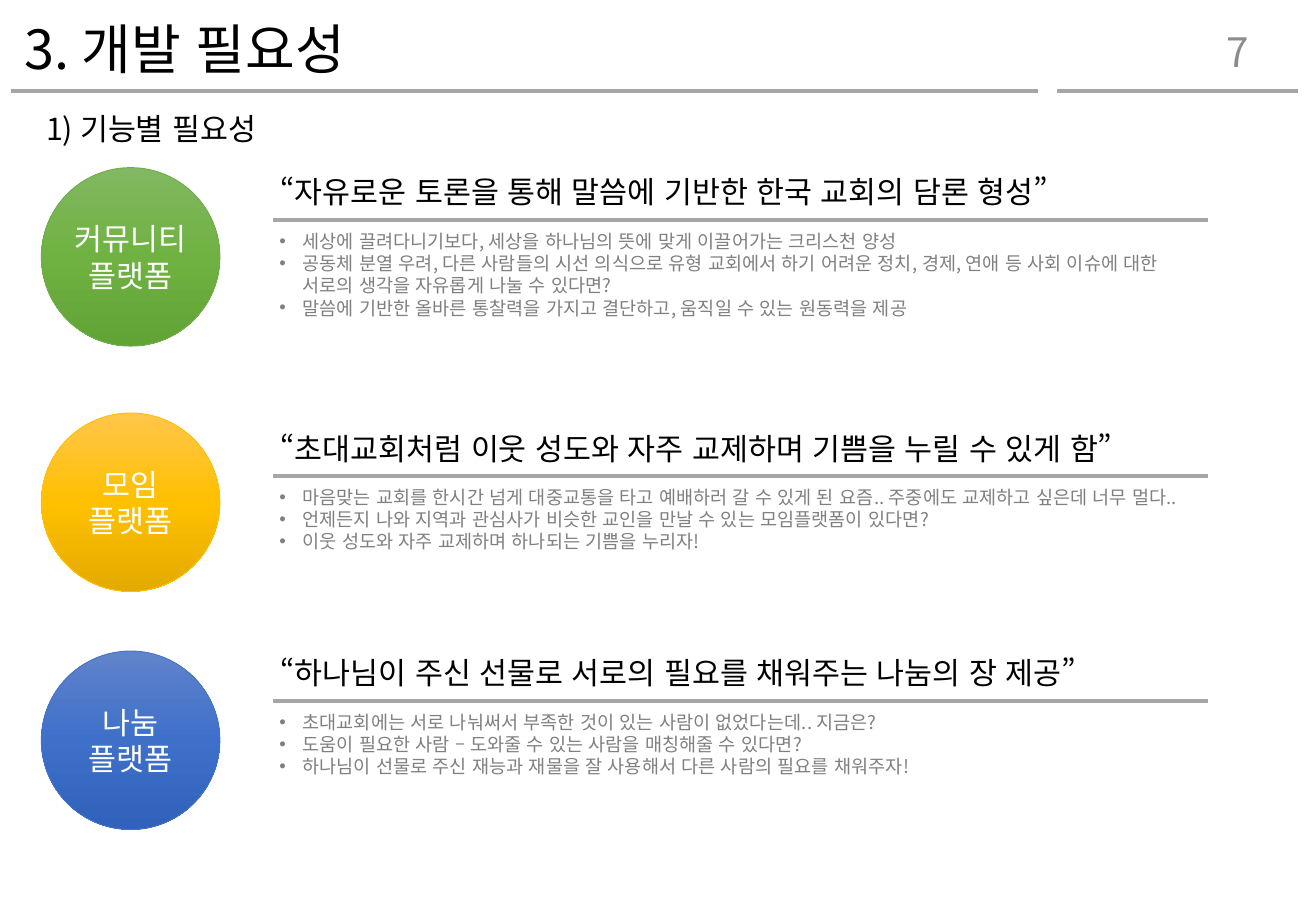
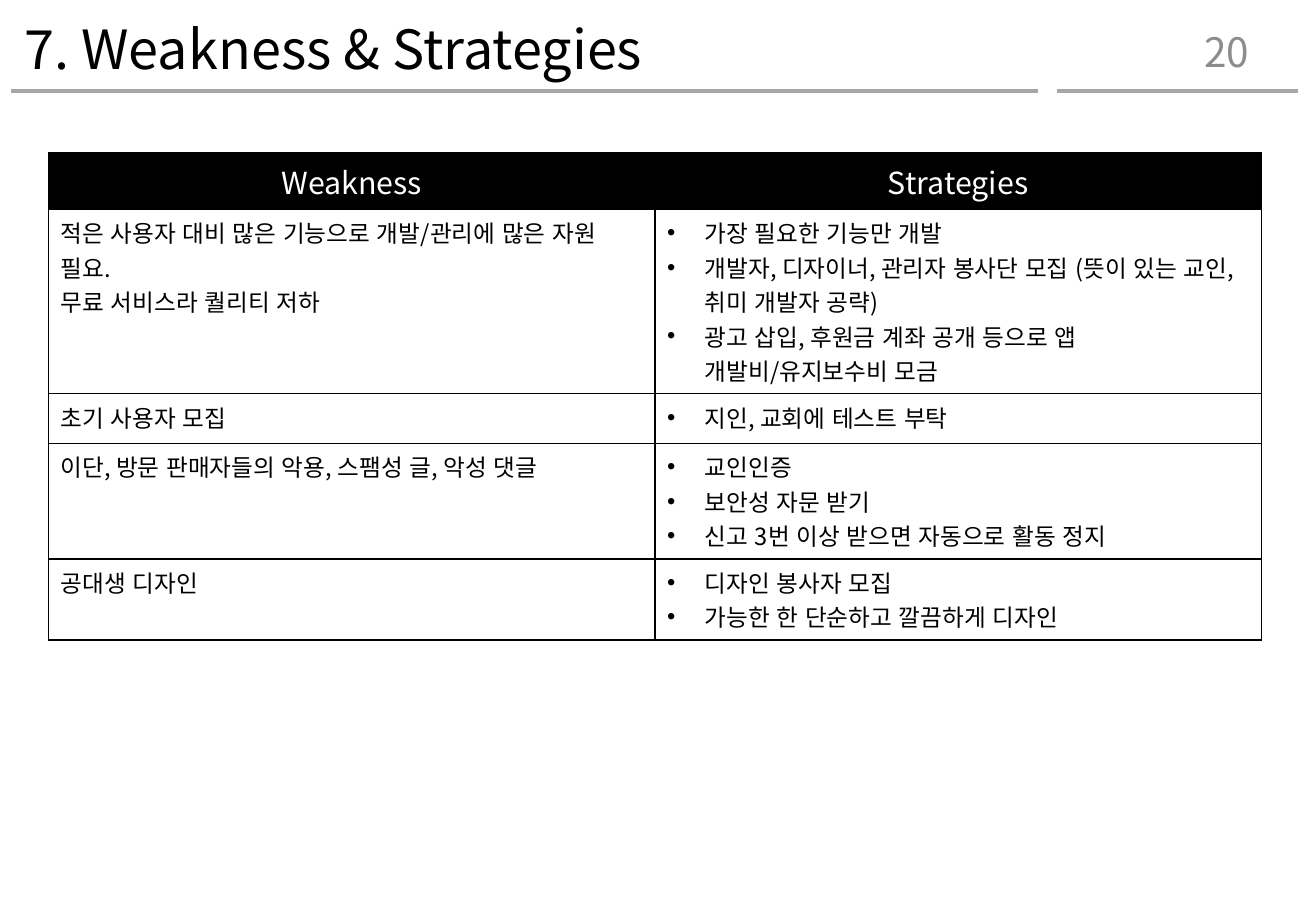
from copy import deepcopy

from lxml.etree import SubElement
from pptx import Presentation
from pptx.dml.color import RGBColor
from pptx.enum.lang import MSO_LANGUAGE_ID
from pptx.enum.shapes import MSO_CONNECTOR, MSO_SHAPE
from pptx.enum.text import MSO_ANCHOR, MSO_AUTO_SIZE, PP_ALIGN
from pptx.oxml.ns import qn
from pptx.util import Pt

EMU_PER_PX = 9144
FONT = "Noto Sans CJK KR"
COLORS = {
    "black": "000000",
    "white": "FFFFFF",
    "rule": "A6A6A6",
    "page": "8C8C8C",
    "detail": "808080",
}
GREEN = ("81B861", "6FB242", "62A336", "70AD47")
YELLOW = ("FFC64B", "FFC000", "E3AB00", "FFC000")
BLUE = ("6183CB", "3E70CA", "3062BB", "4472C4")

SECTIONS = [
    (138, 138, GREEN, "커뮤니티 플랫폼",
     "“자유로운 토론을 통해 말씀에 기반한 한국 교회의 담론 형성”",
     ["세상에 끌려다니기보다, 세상을 하나님의 뜻에 맞게 이끌어가는 크리스천 양성",
      "공동체 분열 우려, 다른 사람들의 시선 의식으로 유형 교회에서 하기 어려운 정치, 경제, 연애 등 "
      "사회 이슈에 대한 서로의 생각을 자유롭게 나눌 수 있다면?",
      "말씀에 기반한 올바른 통찰력을 가지고 결단하고, 움직일 수 있는 원동력을 제공"]),
    (340, 349, YELLOW, "모임 플랫폼",
     "“초대교회처럼 이웃 성도와 자주 교제하며 기쁨을 누릴 수 있게 함”",
     ["마음맞는 교회를 한시간 넘게 대중교통을 타고 예배하러 갈 수 있게 된 요즘.. "
      "주중에도 교제하고 싶은데 너무 멀다..",
      "언제든지 나와 지역과 관심사가 비슷한 교인을 만날 수 있는 모임플랫폼이 있다면?",
      "이웃 성도와 자주 교제하며 하나되는 기쁨을 누리자!"]),
    (536, 534, BLUE, "나눔 플랫폼",
     "“하나님이 주신 선물로 서로의 필요를 채워주는 나눔의 장 제공”",
     ["초대교회에는 서로 나눠써서 부족한 것이 있는 사람이 없었다는데.. 지금은?",
      "도움이 필요한 사람 – 도와줄 수 있는 사람을 매칭해줄 수 있다면?",
      "하나님이 선물로 주신 재능과 재물을 잘 사용해서 다른 사람의 필요를 채워주자!"]),
]

HEADERS = ["Weakness", "Strategies"]
TABLE_ROWS = [
    (["적은 사용자 대비 많은 기능으로 개발/관리에 많은 자원 필요.",
      "무료 서비스라 퀄리티 저하"],
     ["가장 필요한 기능만 개발",
      "개발자, 디자이너, 관리자 봉사단 모집 (뜻이 있는 교인, 취미 개발자 공략)",
      "광고 삽입, 후원금 계좌 공개 등으로 앱 개발비/유지보수비 모금"]),
    (["초기 사용자 모집"], ["지인, 교회에 테스트 부탁"]),
    (["이단, 방문 판매자들의 악용, 스팸성 글, 악성 댓글"],
     ["교인인증", "보안성 자문 받기", "신고 3번 이상 받으면 자동으로 활동 정지"]),
    (["공대생 디자인"],
     ["디자인 봉사자 모집", "가능한 한 단순하고 깔끔하게 디자인"]),
]


def px(value):
    return value * EMU_PER_PX


def rgb(value):
    return RGBColor.from_string(value)


def add_bullet(paragraph, indent):
    properties = paragraph._p.get_or_add_pPr()
    properties.set("marL", str(px(indent)))
    properties.set("indent", str(-px(indent)))
    SubElement(properties, qn("a:buFont"), typeface="Arial")
    SubElement(properties, qn("a:buChar"), char="•")


def write(text_frame, lines, size, color, align=PP_ALIGN.LEFT, spacing=1.0, indent=0):
    text_frame.text = "\n".join(lines)
    for paragraph in text_frame.paragraphs:
        if indent:
            add_bullet(paragraph, indent)
        paragraph.alignment = align
        paragraph.space_before = Pt(0)
        paragraph.line_spacing = spacing
        for run in paragraph.runs:
            run.font.size = Pt(size)
            run.font.bold = False
            run.font.name = FONT
            run.font.language_id = MSO_LANGUAGE_ID.KOREAN
            run.font.color.rgb = rgb(COLORS[color])
            SubElement(run._r.get_or_add_rPr(), qn("a:ea"), typeface=FONT)


def set_frame(shape, anchor):
    text_frame = shape.text_frame
    text_frame.word_wrap = True
    text_frame.auto_size = MSO_AUTO_SIZE.NONE
    text_frame.vertical_anchor = anchor
    return text_frame


def place(shape, left, top, width, height, anchor=MSO_ANCHOR.TOP):
    shape.left, shape.top = px(left), px(top)
    shape.width, shape.height = px(width), px(height)
    return set_frame(shape, anchor)


def add_text(slide, left, top, width, height, anchor=MSO_ANCHOR.TOP):
    shape = slide.shapes.add_textbox(px(left), px(top), px(width), px(height))
    return set_frame(shape, anchor)


def add_rule(slide, left, right, y):
    rule = slide.shapes.add_connector(
        MSO_CONNECTOR.STRAIGHT, px(left), px(y), px(right), px(y))
    rule.line.color.rgb = rgb(COLORS["rule"])
    rule.line.width = Pt(2.25)
    SubElement(rule._element.spPr, qn("a:effectLst"))


def add_circle(slide, top, palette, label):
    circle = slide.shapes.add_shape(
        MSO_SHAPE.OVAL, px(34), px(top), px(147), px(147))
    circle.shadow.inherit = False
    circle.fill.gradient()
    circle.fill.gradient_angle = 270
    stop_list = circle._element.spPr.find(qn("a:gradFill")).find(qn("a:gsLst"))
    stop_list.append(deepcopy(stop_list[0]))
    *stop_colors, outline = palette
    for index, (stop, color) in enumerate(zip(circle.fill.gradient_stops, stop_colors)):
        stop.position = index / 2
        stop.color.rgb = rgb(color)
    circle.line.color.rgb = rgb(outline)
    circle.line.width = Pt(0.5)
    text_frame = set_frame(circle, MSO_ANCHOR.MIDDLE)
    text_frame.margin_left = text_frame.margin_right = 0
    text_frame.margin_top = text_frame.margin_bottom = 0
    write(text_frame, [label], 18, "white", PP_ALIGN.CENTER)


def add_slide(presentation, layout_name, title, page):
    layout = presentation.slide_layouts.get_by_name(layout_name)
    slide = presentation.slides.add_slide(layout)
    title_frame = place(slide.shapes.title, 10, 9, 921, 67, MSO_ANCHOR.MIDDLE)
    write(title_frame, [title], 32, "black", spacing=0.9)
    add_rule(slide, 9, 854, 75)
    add_rule(slide, 870, 1068, 75)
    page_frame = add_text(slide, 802, 22, 236, 40, MSO_ANCHOR.MIDDLE)
    write(page_frame, [page], 24, "page", PP_ALIGN.RIGHT)
    return slide


def add_section(slide, placeholder, circle_top, top, palette, label, heading, details):
    add_circle(slide, circle_top, palette, label)
    write(add_text(slide, 221, top, 777, 40), [heading], 18, "black")
    add_rule(slide, 225, 994, top + 43)
    list_frame = place(placeholder, 220, top + 46, 766, 84)
    write(list_frame, details, 11, "detail", indent=19)


def add_borders(cell):
    properties = cell._tc.get_or_add_tcPr()
    for side in ("lnL", "lnR", "lnT", "lnB"):
        line = SubElement(properties, qn(f"a:{side}"), w=str(Pt(1)))
        fill = SubElement(line, qn("a:solidFill"))
        SubElement(fill, qn("a:srgbClr"), val=COLORS["black"])


def add_strategy_table(slide):
    table = slide.shapes.add_table(
        len(TABLE_ROWS) + 1, len(HEADERS), px(40), px(126), px(998), px(205)).table
    table.first_row = table.horz_banding = False
    for cell in table.iter_cells():
        add_borders(cell)
        cell.fill.background()
    for column, header in enumerate(HEADERS):
        cell = table.cell(0, column)
        cell.fill.solid()
        cell.fill.fore_color.rgb = rgb(COLORS["black"])
        write(cell.text_frame, [header], 18, "white", PP_ALIGN.CENTER)
    for row, (weaknesses, strategies) in enumerate(TABLE_ROWS, 1):
        write(table.cell(row, 0).text_frame, weaknesses, 14, "black")
        write(table.cell(row, 1).text_frame, strategies, 14, "black", indent=31)


def build_needs(presentation):
    slide = add_slide(presentation, "Comparison", "3. 개발 필요성", "7")
    subtitle, *lists = list(slide.placeholders)[1:]
    write(place(subtitle, 28, 86, 979, 40), ["1) 기능별 필요성"], 18, "black")
    for placeholder, section in zip(lists, SECTIONS):
        add_section(slide, placeholder, *section)


def build_strategies(presentation):
    slide = add_slide(presentation, "Title Only", "7. Weakness & Strategies", "20")
    add_strategy_table(slide)


def main():
    presentation = Presentation()
    presentation.slide_width, presentation.slide_height = px(1083), px(750)
    build_needs(presentation)
    build_strategies(presentation)
    presentation.save("out.pptx")


if __name__ == "__main__":
    main()
